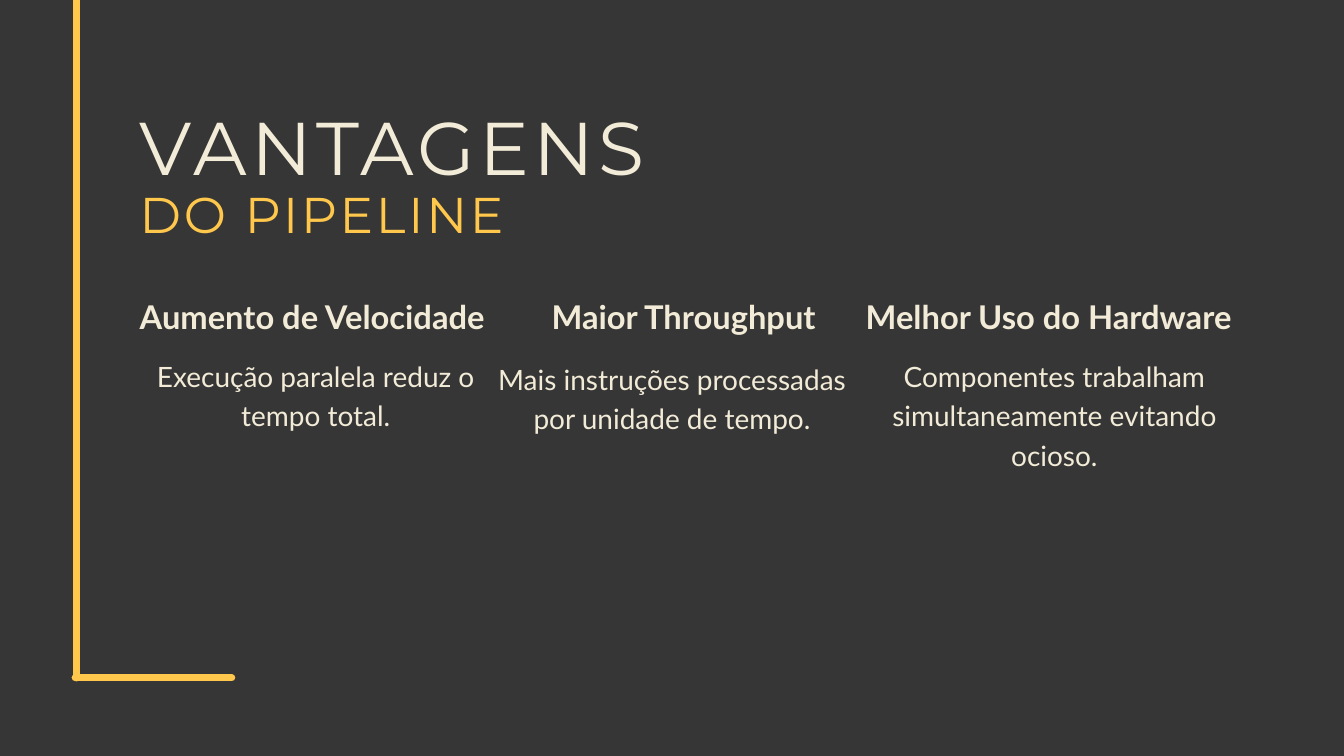
"""Build the slide on the advantages of pipelining."""
from lxml import etree
from pptx import Presentation
from pptx import util as u
from pptx.dml.color import RGBColor
from pptx.enum import shapes, text
from pptx.oxml.ns import qn

DARK = RGBColor(0x36, 0x36, 0x36)
CREAM = RGBColor(0xF2, 0xEB, 0xD7)
GOLD = RGBColor(0xFF, 0xC7, 0x4B)
LEFT = 5.28

deck = Presentation()
deck.slide_width, deck.slide_height = u.Cm(50.8), u.Cm(28.58)
slide = deck.slides.add_slide(deck.slide_layouts[6])
slide.background.fill.solid()
slide.background.fill.fore_color.rgb = DARK


def write(words, area, face, size, lead, color=CREAM, bold=False, center=False, space=0):
    box = slide.shapes.add_textbox(*[u.Cm(n) for n in area])
    frame = box.text_frame
    frame.margin_left = frame.margin_right = 0
    frame.margin_top = frame.margin_bottom = 0
    frame.word_wrap = True
    frame.text = words
    para = frame.paragraphs[0]
    para.alignment = text.PP_ALIGN.CENTER if center else text.PP_ALIGN.LEFT
    para.line_spacing = u.Pt(lead)
    run = para.runs[0]
    run.font.name = face
    run.font.size = u.Pt(size)
    run.font.bold = bold
    run.font.color.rgb = color
    if space:
        run.font._element.set("spc", str(space))


for ends in [(2.9, 0, 2.9, 25.63), (2.84, 25.63, 8.76, 25.63)]:
    rule = slide.shapes.add_connector(
        shapes.MSO_CONNECTOR.STRAIGHT, *[u.Cm(n) for n in ends])
    rule.line.color.rgb = GOLD
    rule.line.width = u.Pt(7.5)
    rule.line._get_or_add_ln().set("cap", "rnd")
    etree.SubElement(rule._element.spPr, qn("a:effectLst"))

write("VANTAGENS", (LEFT, 4.11, 20.12, 3.2), "Montserrat", 80, 88, space=460)
write("DO PIPELINE", (LEFT, 6.93, 19.23, 2.29), "Montserrat", 53.8, 64.6, GOLD, space=310)

gains = [
    ("Aumento de Velocidade", LEFT, 14.3,
     "Execução paralela reduz o tempo total.", LEFT, 13.39, 4.39),
    ("Maior Throughput", 20.85, 10.52,
     "Mais instruções processadas por unidade de tempo.", 18.75, 13.49, 5.87),
    ("Melhor Uso do Hardware", 32.72, 14.27,
     "Componentes trabalham simultaneamente evitando ocioso.", 33.2, 13.39, 5.87),
]
for head, x, wide, body, left, top, tall in gains:
    write(head, (x, 10.97, wide, 1.65), "Lato", 35, 49, bold=True)
    write(body, (left, top, 13.31, tall), "Lato", 30, 42, center=True)

deck.save("out.pptx")
